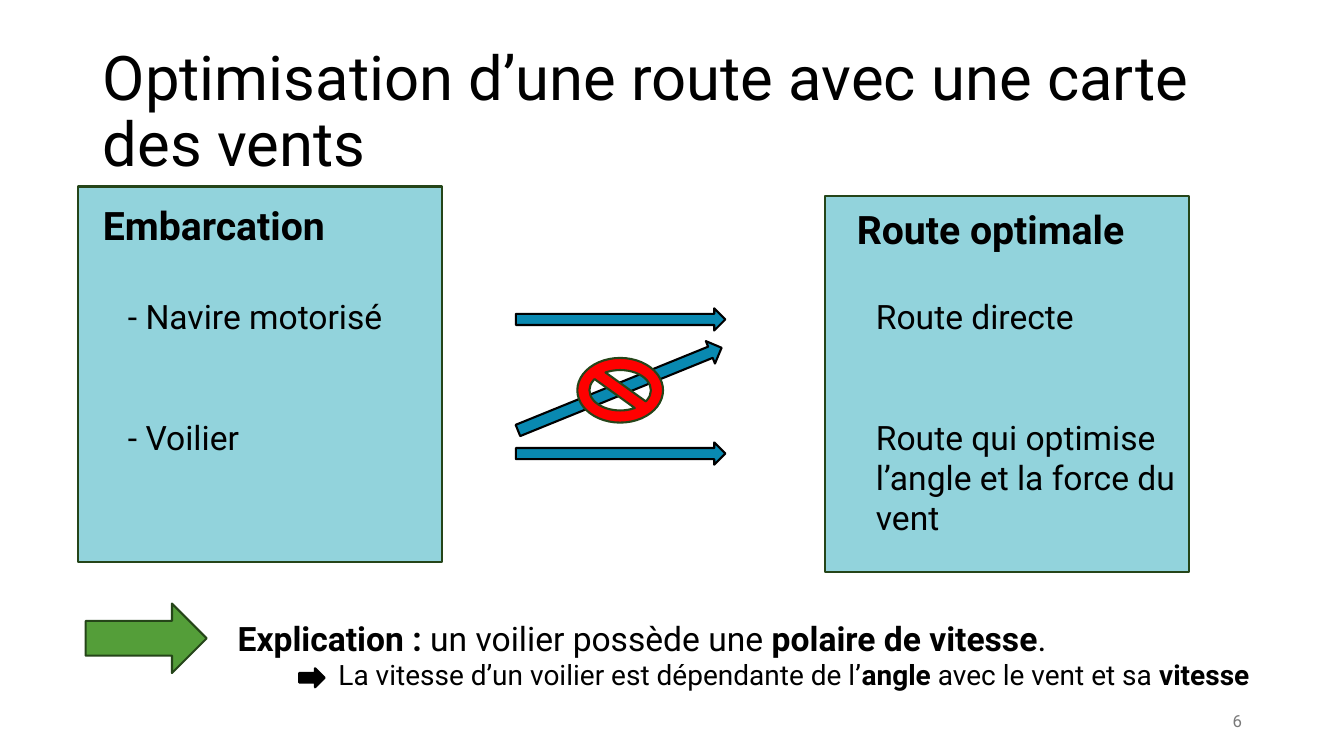
from lxml import etree
from pptx import Presentation
from pptx.dml.color import RGBColor
from pptx.enum.shapes import MSO_SHAPE
from pptx.enum.text import MSO_ANCHOR, MSO_AUTO_SIZE, PP_ALIGN
from pptx.oxml.ns import qn
from pptx.util import Cm, Pt

RECTANGLE = MSO_SHAPE.RECTANGLE
RIGHT_ARROW = MSO_SHAPE.RIGHT_ARROW
NO_SIGN = MSO_SHAPE.NO_SYMBOL
TOP, MIDDLE = MSO_ANCHOR.TOP, MSO_ANCHOR.MIDDLE
LEFT, RIGHT = PP_ALIGN.LEFT, PP_ALIGN.RIGHT
NO_FIT = MSO_AUTO_SIZE.NONE

COLORS = {
    "panel": "92D3DC", "edge": "254519", "link": "0989B1", "forbidden": "FF0000",
    "note": "549E39", "text": "000000", "number": "797979",
}
FONT = "Roboto"


def rgb(name):
    return RGBColor.from_string(COLORS[name])


def apply(target, values):
    for name, value in values.items():
        setattr(target, name, value)


def place(shape, left, top, width, height):
    apply(shape, {"left": Cm(left), "top": Cm(top),
                  "width": Cm(width), "height": Cm(height)})


def add_figure(slide, kind, box, fill, line="edge", rotation=0):
    figure = slide.shapes.add_shape(kind, *map(Cm, box))
    figure.shadow.inherit = False
    figure.fill.solid()
    figure.fill.fore_color.rgb = rgb(fill)
    figure.line.color.rgb = rgb(line)
    figure.line.width = Pt(1.5)
    figure.rotation = rotation


def write(shape, paragraphs, size, bold=False, anchor=TOP, align=LEFT,
          color="text", spacing=1.0, gap=0, indent=0):
    """Each paragraph is a list of (text, bold) pairs or a plain string."""
    frame = shape.text_frame
    apply(frame, {"word_wrap": True, "auto_size": NO_FIT, "vertical_anchor": anchor})
    for index, content in enumerate(paragraphs):
        paragraph = frame.add_paragraph() if index else frame.paragraphs[0]
        properties = paragraph._p.get_or_add_pPr()
        properties.set("marL", str(Cm(indent)))
        properties.set("indent", "0")
        etree.SubElement(properties, qn("a:buNone"))
        apply(paragraph, {"alignment": align, "line_spacing": spacing,
                          "space_before": Pt(gap if index else 0),
                          "space_after": Pt(0)})
        runs = [(content, bold)] if isinstance(content, str) else content
        for text, is_bold in runs:
            run = paragraph.add_run()
            run.text = text
            apply(run.font, {"name": FONT, "size": Pt(size), "bold": is_bold})
            run.font.color.rgb = rgb(color)


def bring_forward(placeholder):
    placeholder._element.getparent().append(placeholder._element)


def add_title(slide, box, text):
    title = slide.shapes.title
    place(title, *box)
    write(title, [text], 44, anchor=MIDDLE, spacing=0.9)


def add_panel(slide, box, heading, items, heading_box, list_box, heading_spacing):
    """Coloured panel whose heading and list boxes are offsets from its corner."""
    left, top = box[:2]
    add_figure(slide, RECTANGLE, box, "panel")
    for placeholder, (dx, dy, width, height) in ((heading[0], heading_box),
                                                 (items[0], list_box)):
        place(placeholder, left + dx, top + dy, width, height)
        bring_forward(placeholder)
    write(heading[0], [heading[1]], 28, bold=True, spacing=heading_spacing)
    write(items[0], items[1], 24, gap=57, indent=1.27)


def add_links(slide, box):
    """Two allowed links and a crossed-out diagonal between them."""
    left, top, width, height = box
    thickness = 0.56
    for y in (top, top + height - thickness):
        add_figure(slide, RIGHT_ARROW, (left, y, width, thickness), "link", "text")
    add_figure(slide, RIGHT_ARROW, (left - 0.15, top + 1.73, 5.54, 0.61),
               "link", "text", rotation=337.9)
    add_figure(slide, NO_SIGN, (left + 1.55, top + 1.25, 2.16, 1.63), "forbidden")


def add_explanation(slide, box):
    left, top, width, height = box
    add_figure(slide, RIGHT_ARROW, (left, top, 3.05, 1.75), "note")
    explanation = slide.shapes.add_textbox(
        Cm(left + 3.58), Cm(top + 0.23), Cm(width - 3.58), Cm(height - 0.23))
    write(explanation, [[("Explication : ", True), ("un voilier possède une ", False),
                         ("polaire de vitesse", True), (".", False)]], 24)
    consequence = slide.shapes.add_textbox(
        Cm(left + 6.12), Cm(top + 1.24), Cm(width - 6.12), Cm(height - 1.24))
    write(consequence, [[("La vitesse d’un voilier est dépendante de l’", False),
                         ("angle ", True), ("avec le vent et sa ", False),
                         ("vitesse", True)]], 20)
    add_figure(slide, RIGHT_ARROW, (left + 5.38, top + 1.63, 0.64, 0.48), "text", "text")


def add_page_number(slide, box, number):
    page_number = slide.shapes.add_textbox(*map(Cm, box))
    write(page_number, [number], 12, anchor=MIDDLE, align=RIGHT, color="number")


def main():
    deck = Presentation()
    deck.slide_width, deck.slide_height = Cm(33.87), Cm(19.05)
    slide = deck.slides.add_slide(deck.slide_layouts.get_by_name("Comparison"))
    boat_heading, boat_list, route_heading, route_list = list(slide.placeholders)[1:5]

    add_title(slide, (2.34, 1.02, 29.21, 3.68),
              "Optimisation d’une route avec une carte des vents")
    add_panel(slide, (1.96, 4.7, 9.17, 9.47),
              (boat_heading, "Embarcation"),
              (boat_list, ["- Navire motorisé", "- Voilier"]),
              (0.38, 0.38, 9.02, 1.37), (-0.26, 2.64, 8.64, 4.37), 0.9)
    add_panel(slide, (20.8, 4.95, 9.17, 9.47),
              (route_heading, "Route optimale"),
              (route_list, ["Route directe",
                            "Route qui optimise l’angle et la force du vent"]),
              (0.54, 0.1, 7.62, 1.45), (-0.25, 2.39, 10.77, 6.4), 1.0)
    add_links(slide, (13, 7.77, 5.28, 3.94))
    add_explanation(slide, (2.16, 15.21, 31.34, 2.36))
    add_page_number(slide, (23.93, 17.65, 7.62, 1.02), "6")
    deck.save("out.pptx")


if __name__ == "__main__":
    main()
